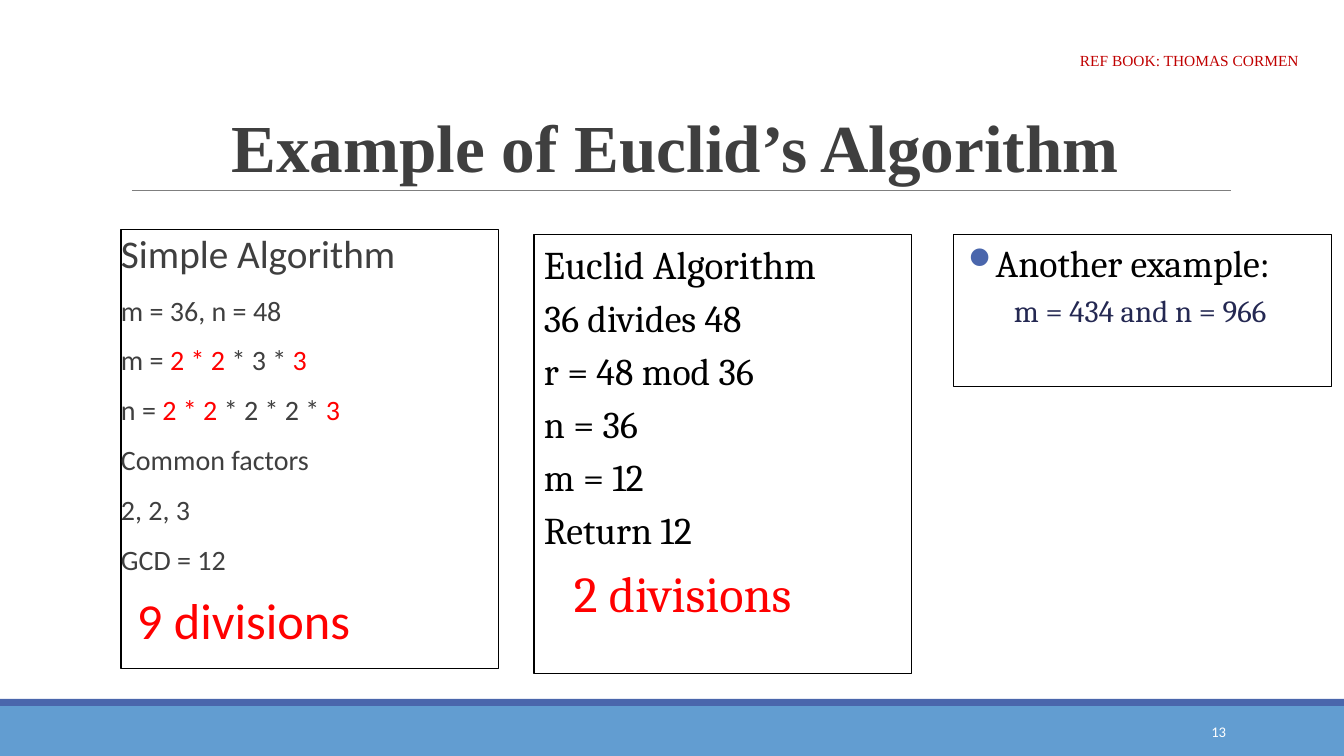
from lxml import etree
from pptx import Presentation
from pptx.dml.color import RGBColor
from pptx.enum.shapes import MSO_CONNECTOR, MSO_SHAPE
from pptx.enum.text import MSO_ANCHOR, MSO_AUTO_SIZE, PP_ALIGN
from pptx.oxml.ns import qn
from pptx.util import Emu, Pt

PX = 914400 / 100.8
WHITE = RGBColor(0xFF, 0xFF, 0xFF)
BLACK = RGBColor(0, 0, 0)
GRAY = RGBColor(0x3F, 0x3F, 0x3F)
RULE_GRAY = RGBColor(0x7F, 0x7F, 0x7F)
RED = RGBColor(0xFF, 0, 0)
DARK_RED = RGBColor(0xC0, 0, 0)
NAVY = RGBColor(0x24, 0x28, 0x52)
BLUE = RGBColor(0x4A, 0x66, 0xAC)
LIGHT_BLUE = RGBColor(0x62, 0x9D, 0xD1)


def px(*lengths):
    """Turn pixel lengths into a list of EMU lengths."""
    return [Emu(round(length * PX)) for length in lengths]


def write_line(paragraph, runs, font, size, align=PP_ALIGN.LEFT):
    """Fill a paragraph with (text, colour) runs in one font and size."""
    paragraph.alignment = align
    for text, color in runs:
        run = paragraph.add_run()
        run.text = text
        run.font.name = font
        run.font.size = Pt(size)
        run.font.color.rgb = color


presentation = Presentation()
presentation.slide_width, presentation.slide_height = px(1344, 756)
slide = presentation.slides.add_slide(presentation.slide_layouts[5])
shapes = slide.shapes

# Footer bands and the rule under the title
for top, height, color in [(706, 50, LIGHT_BLUE), (699, 7, BLUE)]:
    band = shapes.add_shape(MSO_SHAPE.RECTANGLE, *px(0, top, 1344, height))
    band.shadow.inherit = False
    band.fill.solid()
    band.fill.fore_color.rgb = color
    band.line.fill.background()

rule = shapes.add_connector(MSO_CONNECTOR.STRAIGHT, *px(132, 191, 1231, 191))
rule.line.color.rgb = RULE_GRAY
rule.line.width = Pt(0.75)
etree.SubElement(rule._element.spPr, qn("a:effectLst"))

# Title
title = shapes.title
title.left, title.top, title.width, title.height = px(121, 31, 1109, 160)
title_frame = title.text_frame
title_frame.auto_size = MSO_AUTO_SIZE.NONE
title_frame.vertical_anchor = MSO_ANCHOR.BOTTOM
title_paragraph = title_frame.paragraphs[0]
title_paragraph.line_spacing = 0.85
write_line(title_paragraph, [("Example of Euclid’s Algorithm", GRAY)],
           "Times New Roman", 48, PP_ALIGN.CENTER)
title_paragraph.runs[0].font.bold = True

# Reference and slide number
for box, text, font, size, color, align in [
    ((1067, 33, 245, 54), "REF BOOK: THOMAS CORMEN", "Times New Roman", 11,
     DARK_RED, PP_ALIGN.CENTER),
    ((1092, 712, 144, 40), "13", "Calibri", 10.5, WHITE, PP_ALIGN.RIGHT),
]:
    label_frame = shapes.add_textbox(*px(*box)).text_frame
    label_frame.word_wrap = True
    label_frame.vertical_anchor = MSO_ANCHOR.MIDDLE
    write_line(label_frame.paragraphs[0], [(text, color)], font, size, align)

# Each panel line: runs, size, space before, left margin in px
simple_lines = [
    ([("Simple Algorithm", GRAY)], 28, 0, 0),
    ([("m = 36, n = 48", GRAY)], 20, 14, 0),
    ([("m = ", GRAY), ("2 * 2 ", RED), ("* 3 * ", GRAY), ("3", RED)], 20, 14, 0),
    ([("n = ", GRAY), ("2 * 2 ", RED), ("* 2 * 2 * ", GRAY), ("3", RED)], 20, 14, 0),
    ([("Common factors", GRAY)], 20, 14, 0),
    ([("2, 2, 3", GRAY)], 20, 14, 0),
    ([("GCD = 12", GRAY)], 20, 14, 0),
    ([("9 divisions", RED)], 36, 14, 16),
]
euclid_steps = ["36 divides 48", "r = 48 mod 36", "n = 36", "m = 12", "Return 12"]
euclid_lines = [
    ([("Euclid Algorithm", BLACK)], 28, 0, 0),
    *[([(step, BLACK)], 27, 5.4, 0) for step in euclid_steps],
    ([("2 divisions", RED)], 36, 7.2, 30),
]
example_lines = [
    ([("Another example:", BLACK)], 27, 0, 30),
    ([("m = 434 and n = 966", NAVY)], 22, 4.4, 50),
]

for left, top, height, inset, font, spacing, lines in [
    (121, 230, 439, 0, "Calibri", 0.9, simple_lines),
    (534, 235, 439, 10, "Cambria", 1.0, euclid_lines),
    (954, 235, 152, 10, "Cambria", 1.0, example_lines),
]:
    panel = shapes.add_textbox(*px(left, top, 378, height))
    panel.line.color.rgb = BLACK
    panel.line.width = Pt(0.75)
    frame = panel.text_frame
    frame.word_wrap = True
    frame.margin_left, frame.margin_right = px(inset, inset)
    for index, (runs, size, before, margin) in enumerate(lines):
        paragraph = frame.add_paragraph() if index else frame.paragraphs[0]
        paragraph.line_spacing = spacing
        paragraph.space_before = Pt(before)
        write_line(paragraph, runs, font, size)
        paragraph._p.get_or_add_pPr().set("marL", str(px(margin)[0]))

# Bullet on the first line of the last panel
properties = frame.paragraphs[0]._p.get_or_add_pPr()
properties.set("indent", str(px(-30)[0]))
bullet_color = etree.SubElement(properties, qn("a:buClr"))
etree.SubElement(bullet_color, qn("a:srgbClr"), val=str(BLUE))
etree.SubElement(properties, qn("a:buChar"), char="⚫")

presentation.save("out.pptx")
